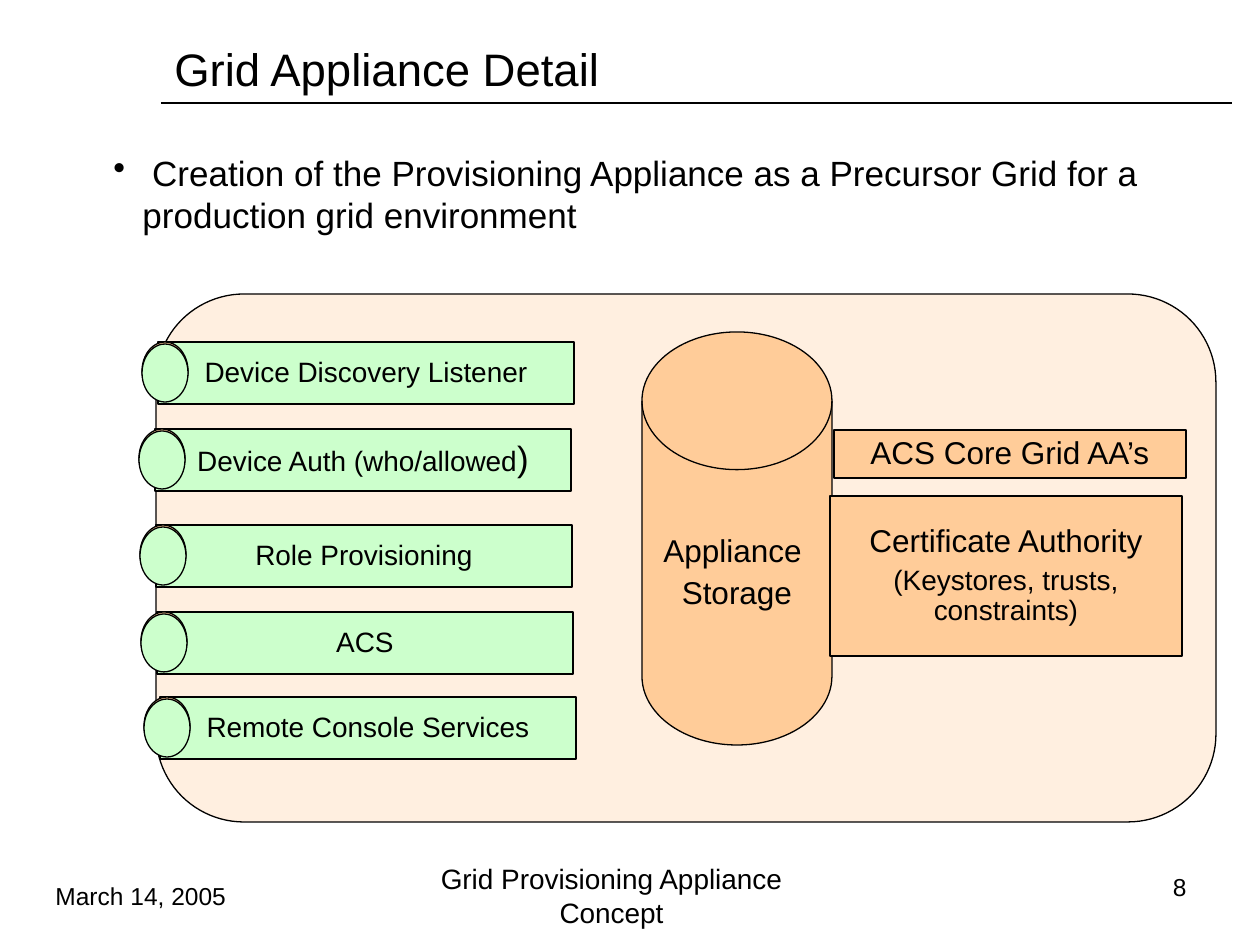
from lxml.etree import SubElement
from pptx import Presentation
from pptx.dml.color import RGBColor
from pptx.enum.shapes import MSO_CONNECTOR, MSO_SHAPE
from pptx.enum.text import MSO_ANCHOR, PP_ALIGN
from pptx.oxml.ns import qn
from pptx.util import Pt

SCALE = 914400 / 126
COLORS = {"ink": "000000", "orange": "FFCC99", "green": "CCFFCC"}


def px(length):
    return round(length * SCALE)


class SlideBuilder:
    font = "Arial"
    line_width = Pt(0.75)

    def __init__(self, deck):
        self.page = deck.slides.add_slide(deck.slide_layouts[6])

    def color(self, name):
        return RGBColor.from_string(COLORS[name])

    def set_text(self, box, lines, align, anchor=MSO_ANCHOR.MIDDLE, wrap=True, spacing=None):
        frame = box.text_frame
        frame.word_wrap = wrap
        frame.vertical_anchor = anchor
        for index, (text, size) in enumerate(lines):
            para = frame.add_paragraph() if index else frame.paragraphs[0]
            para.alignment = align
            para.line_spacing = spacing
            if index:
                para.space_before = Pt(size / 4)
            para.add_run().text = text
            para.font.size = Pt(size)
            para.font.name = self.font
            para.font.color.rgb = self.color("ink")

    def text(self, left, top, width, height, text, size, align=PP_ALIGN.LEFT):
        box = self.page.shapes.add_textbox(px(left), px(top), px(width), px(height))
        self.set_text(box, [(text, size)], align)

    def bullet(self, left, top, width, height, text, size, indent):
        box = self.page.shapes.add_textbox(px(left), px(top), px(width), px(height))
        properties = box.text_frame.paragraphs[0]._p.get_or_add_pPr()
        properties.set("marL", str(px(indent)))
        properties.set("indent", str(-px(indent)))
        SubElement(properties, qn("a:buChar")).set("char", "•")
        self.set_text(box, [(text, size)], PP_ALIGN.LEFT, MSO_ANCHOR.TOP)

    def rule(self, left, top, right):
        line = self.page.shapes.add_connector(
            MSO_CONNECTOR.STRAIGHT, px(left), px(top), px(right), px(top))
        line.line.color.rgb = self.color("ink")
        line.line.width = self.line_width
        SubElement(line._element.spPr, qn("a:effectLst"))

    def shape(self, kind, left, top, width, height, fill, lines=(), wrap=False, parent=None):
        shapes = (parent or self.page).shapes
        shape = shapes.add_shape(kind, px(left), px(top), px(width), px(height))
        shape.shadow.inherit = False
        shape.fill.solid()
        shape.fill.fore_color.rgb = self.color(fill)
        shape.line.color.rgb = self.color("ink")
        shape.line.width = self.line_width
        if lines:
            self.set_text(shape, lines, PP_ALIGN.CENTER, wrap=wrap, spacing=0.9)
        return shape

    def panel(self, left, top, width, height, fill, opacity):
        panel = self.shape(MSO_SHAPE.ROUNDED_RECTANGLE, left, top, width, height, fill)
        tint = panel._element.spPr.find(qn("a:solidFill"))[0]
        SubElement(tint, qn("a:alpha")).set("val", str(opacity * 1000))

    def service(self, left, top, label, tail=""):
        group = self.page.shapes.add_group_shape()
        bar = self.shape(MSO_SHAPE.RECTANGLE, left + 16, top, 416, 62, "green",
                         [(label, 16)], parent=group)
        if tail:
            span = bar.text_frame.paragraphs[0].add_run()
            span.text = tail
            span.font.size = Pt(20)
        for offset, fill in ((0, "orange"), (2, "green")):
            self.shape(MSO_SHAPE.OVAL, left, top + offset, 46, 58, fill, parent=group)


def main():
    deck = Presentation()
    deck.slide_width, deck.slide_height = px(1260), px(945)
    slide = SlideBuilder(deck)

    slide.rule(161, 103, 1232)
    slide.panel(156, 294, 1060, 528, "orange", 30)
    slide.text(162, 42, 1071, 53, "Grid Appliance Detail", 26)
    slide.bullet(101, 145, 1112, 97,
                 " Creation of the Provisioning Appliance as a Precursor Grid "
                 "for a production grid environment", 20, 29)

    slide.shape(MSO_SHAPE.FLOWCHART_MAGNETIC_DISK, 642, 332, 190, 413, "orange",
                [("Appliance ", 18), ("Storage", 18)])
    slide.shape(MSO_SHAPE.RECTANGLE, 834, 430, 352, 48, "orange",
                [("ACS Core Grid AA’s", 18)])

    services = [
        (142, 342, "Device Discovery Listener"),
        (139, 429, "Device Auth (who/allowed", ")"),
        (140, 525, "Role Provisioning"),
        (141, 612, "ACS"),
        (144, 697, "Remote Console Services"),
    ]
    for service in services:
        slide.service(*service)

    slide.shape(MSO_SHAPE.RECTANGLE, 830, 496, 352, 160, "orange",
                [("Certificate Authority", 18), ("(Keystores, trusts, constraints)", 16)],
                wrap=True)

    slide.text(383, 861, 457, 69, "Grid Provisioning Appliance Concept", 16, PP_ALIGN.CENTER)
    slide.text(1079, 872, 120, 30, "8", 14, PP_ALIGN.RIGHT)
    slide.text(43, 872, 222, 47, "March 14, 2005", 14)

    deck.save("out.pptx")


if __name__ == "__main__":
    main()
